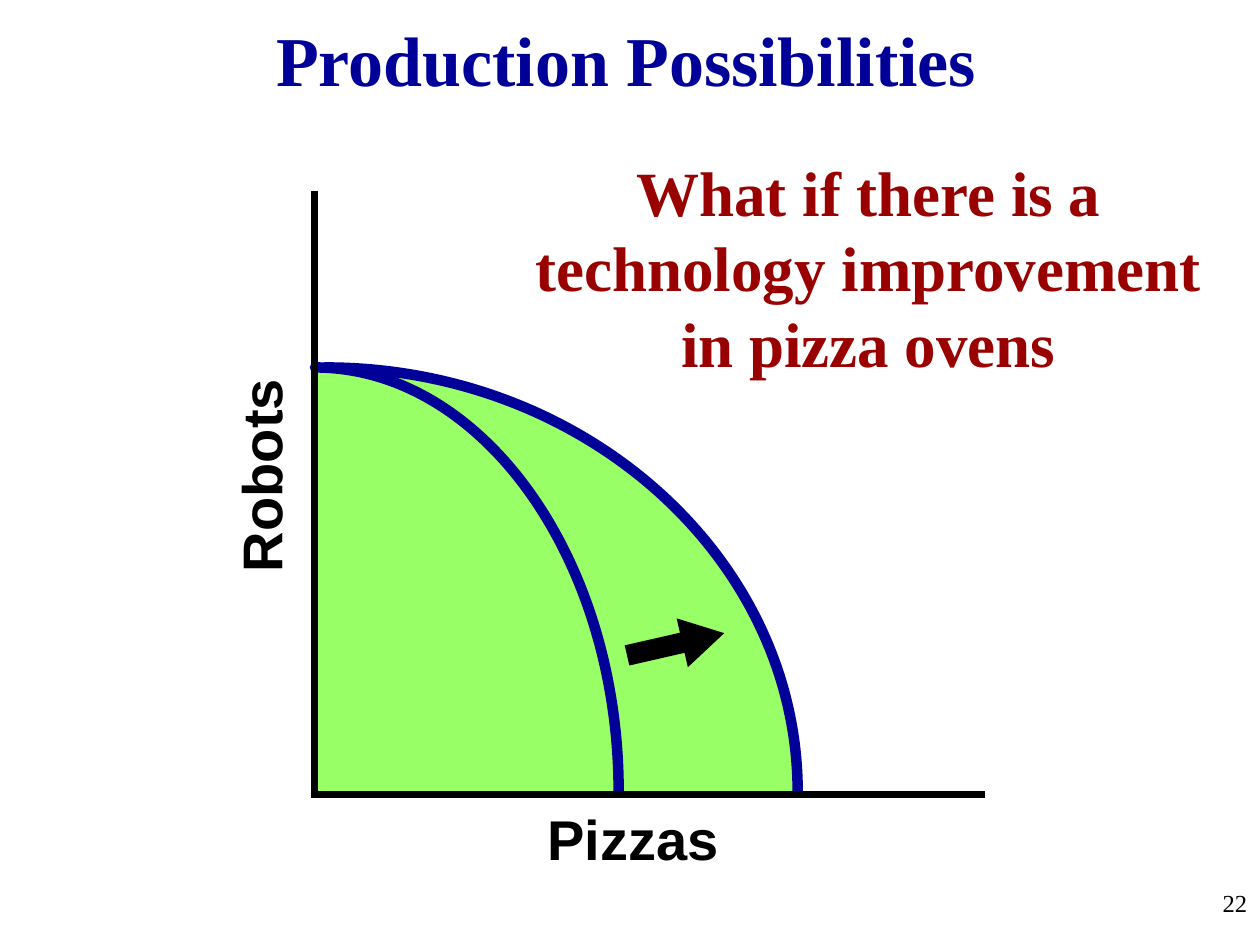
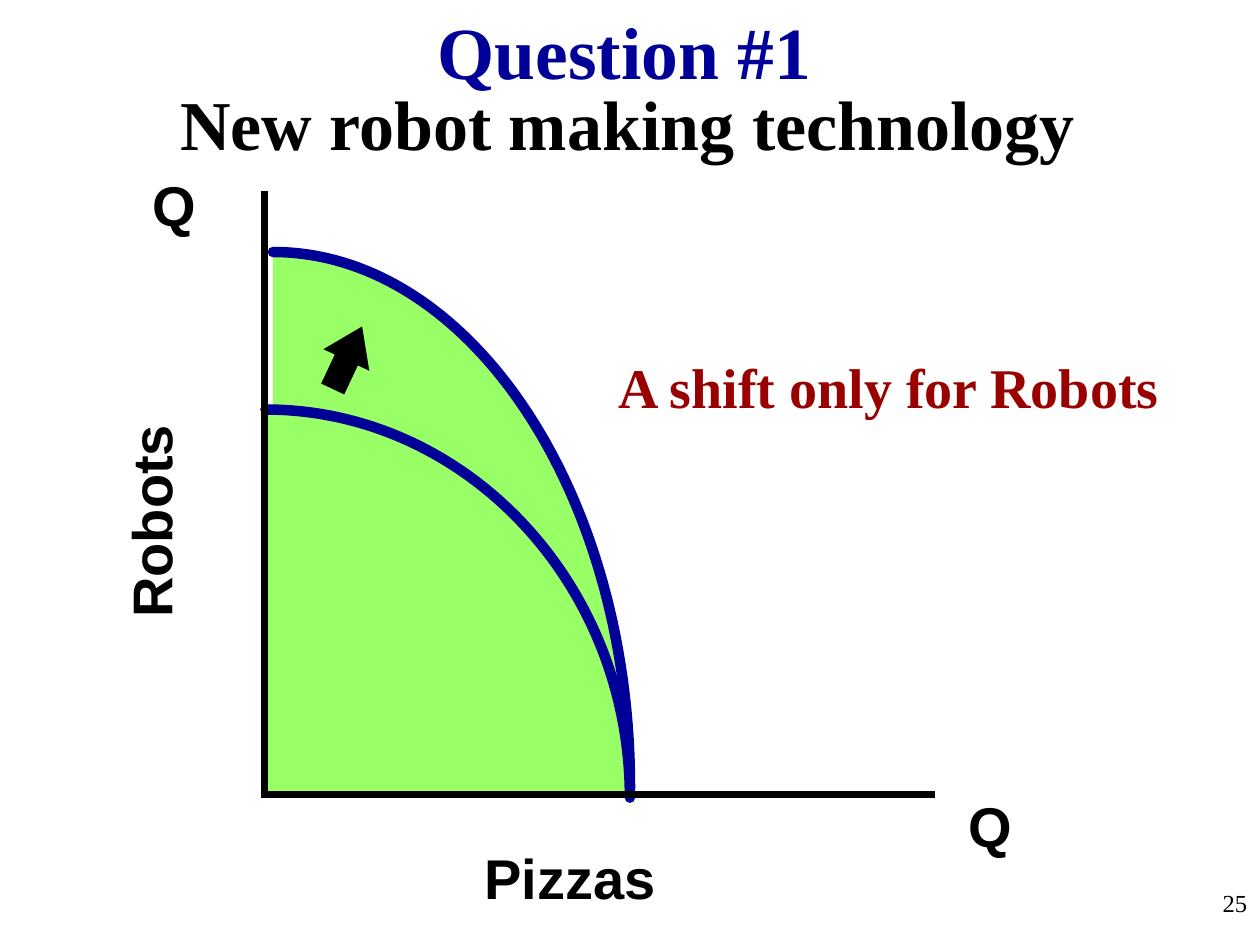
from copy import deepcopy

from pptx import Presentation
from pptx.dml.color import RGBColor
from pptx.enum.shapes import MSO_CONNECTOR, MSO_SHAPE
from pptx.enum.text import MSO_ANCHOR, PP_ALIGN
from pptx.oxml.ns import qn
from pptx.oxml.xmlchemy import OxmlElement
from pptx.util import Pt

NAVY, RED, GREEN, BLACK = "000099", "990000", "99FF66", "000000"
SERIF, SANS = "Times New Roman", "Arial"
ROUNDNESS = 0.55  # Bezier handle length that gives a quarter ellipse
AXIS_TOP, AXIS_BOTTOM, AXIS_LENGTH = 109, 453.9, 383

HEADING = dict(size=40, bold=True, color=NAVY)
REMARK = dict(bold=True, color=RED)
AXIS_LABEL = dict(size=32, bold=True, font=SANS, wrap=False)
PAGE_NUMBER = dict(size=14, align=PP_ALIGN.RIGHT)

# Every box is (left, top, width, height); "arrow" adds its rotation and two adjustments.
SLIDES = [
    dict(
        number="22",
        axis_x=179.8,
        frontiers=[(185.8, 210, 270, 242.6), (180, 210, 173.5, 242.6)],
        arrow=((358.6, 355.7, 54, 25.2), 347.1, (0.389, 0.858)),
        texts=[
            ("Robots", (86.2, 249.1, 124.6, 45.4), dict(AXIS_LABEL, rotation=270)),
            ("Pizzas", (305.6, 456, 112.3, 45.4), AXIS_LABEL),
            ("What if there is a technology improvement in pizza ovens",
             (287.8, 84, 416.9, 160.6), dict(REMARK, size=36)),
            ("Production Possibilities", (12.2, 5.8, 691.2, 54.7), HEADING),
        ],
    ),
    dict(
        number="25",
        axis_x=151.3,
        frontiers=[(156, 144, 204, 306), (151.7, 234, 208.3, 221.8)],
        arrow=((180, 192.2, 36.7, 25.2), 295.2, (0.5, 0.73)),
        texts=[
            ("New robot making technology", (78, 48.2, 560.9, 103.7),
             dict(HEADING, color=BLACK, line_spacing=0.9, space_before=10)),
            ("Q", (79.9, 94, 38.9, 45.4), dict(AXIS_LABEL, align=PP_ALIGN.LEFT)),
            ("Q", (546.5, 448.6, 38.9, 45.4), dict(AXIS_LABEL, align=PP_ALIGN.LEFT)),
            ("Robots", (23.4, 275.2, 124.6, 45.4), dict(AXIS_LABEL, rotation=270)),
            ("Pizzas", (269.6, 478.5, 112.3, 45.4), AXIS_LABEL),
            ("Question #1", (77.8, 0, 558, 57.6), dict(HEADING, size=42)),
            ("A shift only for Robots", (342, 198, 331.8, 46.1), dict(REMARK, size=32)),
        ],
    ),
]


def rgb(color):
    return RGBColor.from_string(color)


def style_line(line, color, width):
    line.color.rgb = rgb(color)
    line.width = Pt(width)


def style_shape(shape, fill, line, width):
    shape.shadow.inherit = False
    shape.fill.solid()
    shape.fill.fore_color.rgb = rgb(fill)
    style_line(shape.line, line, width)


def add_text(page, text, bounds, *, size, color=BLACK, font=SERIF, bold=False,
             align=PP_ALIGN.CENTER, wrap=True, rotation=0,
             line_spacing=None, space_before=None):
    box = page.shapes.add_textbox(*map(Pt, bounds))
    box.rotation = rotation
    frame = box.text_frame
    frame.word_wrap = wrap
    frame.vertical_anchor = MSO_ANCHOR.TOP
    para = frame.paragraphs[0]
    para.alignment = align
    if line_spacing:
        para.line_spacing = line_spacing
    if space_before:
        para.space_before = Pt(space_before)
    span = para.add_run()
    span.text = text
    span.font.name = font
    span.font.size = Pt(size)
    span.font.bold = bold
    span.font.color.rgb = rgb(color)


def quarter_ellipse(width, height):
    """Return a Bezier segment from the top left to the bottom right."""
    curve = OxmlElement("a:cubicBezTo")
    for x, y in [(ROUNDNESS * width, 0), (width, (1 - ROUNDNESS) * height), (width, height)]:
        point = OxmlElement("a:pt")
        point.set("x", str(Pt(x)))
        point.set("y", str(Pt(y)))
        curve.append(point)
    return curve


def add_frontier(page, bounds):
    """Draw a filled quarter ellipse whose curved edge alone has a line."""
    left, top, width, height = bounds
    right, bottom = left + width, top + height
    builder = page.shapes.build_freeform(Pt(left), Pt(top))
    builder.add_line_segments([(Pt(right), Pt(bottom)), (Pt(left), Pt(bottom))], close=True)
    frontier = builder.convert_to_shape()
    style_shape(frontier, GREEN, NAVY, 6)
    next(frontier.element.iter(qn("a:ln"))).set("cap", "rnd")

    area = next(frontier.element.iter(qn("a:path")))
    area.replace(area[1], quarter_ellipse(width, height))
    edge = deepcopy(area)
    for straight_part in list(edge)[2:]:
        edge.remove(straight_part)
    edge.set("fill", "none")
    area.set("stroke", "0")
    area.addprevious(edge)


def add_axes(page, x):
    axes = page.shapes.add_group_shape()
    for ends in [(x, AXIS_TOP, x, AXIS_BOTTOM + 2),
                 (x - 0.7, AXIS_BOTTOM, x + AXIS_LENGTH, AXIS_BOTTOM)]:
        axis = axes.shapes.add_connector(MSO_CONNECTOR.STRAIGHT, *map(Pt, ends))
        style_line(axis.line, BLACK, 4)
        axis.element.spPr.append(OxmlElement("a:effectLst"))


def add_shift_arrow(page, bounds, rotation, adjustments):
    arrow = page.shapes.add_shape(MSO_SHAPE.RIGHT_ARROW, *map(Pt, bounds))
    arrow.rotation = rotation
    for index, value in enumerate(adjustments):
        arrow.adjustments[index] = value
    style_shape(arrow, BLACK, BLACK, 2)
    sharp_corner = OxmlElement("a:miter")
    sharp_corner.set("lim", "800000")
    next(arrow.element.iter(qn("a:ln"))).append(sharp_corner)


def add_slide(deck, content):
    page = deck.slides.add_slide(deck.slide_layouts[6])
    for bounds in content["frontiers"]:
        add_frontier(page, bounds)
    add_axes(page, content["axis_x"])
    add_shift_arrow(page, *content["arrow"])
    for text, bounds, style in content["texts"]:
        add_text(page, text, bounds, **style)
    add_text(page, content["number"], (570, 504, 149.8, 36), **PAGE_NUMBER)


def main():
    deck = Presentation()
    deck.slide_width, deck.slide_height = Pt(720), Pt(540)
    for content in SLIDES:
        add_slide(deck, content)
    deck.save("out.pptx")


if __name__ == "__main__":
    main()
